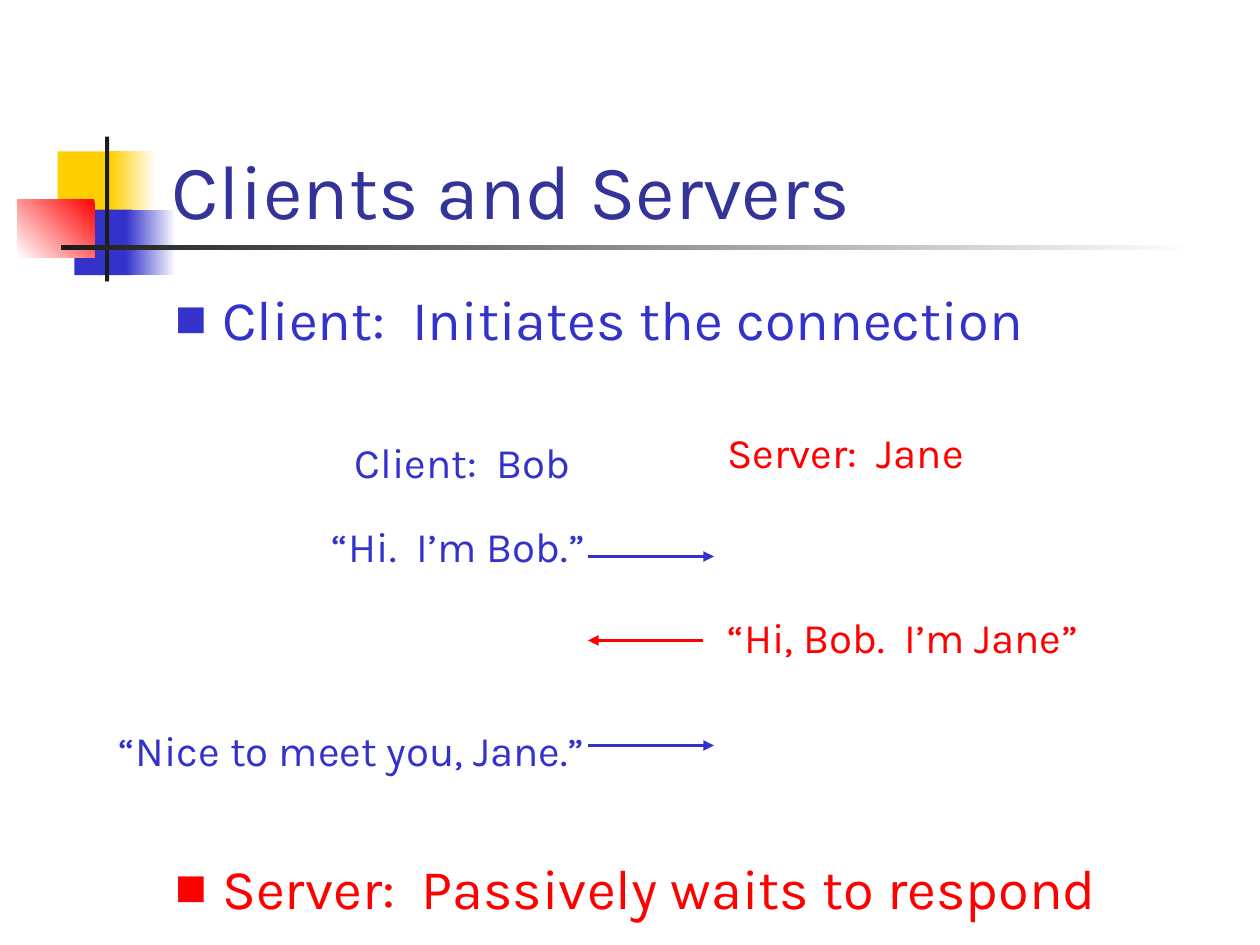
from lxml import etree
from pptx import Presentation
from pptx.dml.color import RGBColor
from pptx.enum import shapes, text
from pptx.oxml import ns
from pptx.util import Pt

COLOURS = {
    "title": "333399",
    "client": "3333CC",
    "server": "FF0000",
    "yellow": "FFCF01",
    "dark": "1C1C1C",
    "white": "FFFFFF",
}


def rgb(name):
    return RGBColor.from_string(COLOURS[name])


class ConnectionSlide:
    font = "Karla"

    def __init__(self, deck):
        self.slide = deck.slides.add_slide(deck.slide_layouts[6])

    def block(self, box, colour, fade_to=None, angle=180):
        block = self.slide.shapes.add_shape(
            shapes.MSO_SHAPE.RECTANGLE, *map(Pt, box))
        block.shadow.inherit = False
        block.line.fill.background()
        if fade_to is None:
            block.fill.solid()
            block.fill.fore_color.rgb = rgb(colour)
            return
        block.fill.gradient()
        block.fill.gradient_angle = angle
        for stop, name in zip(block.fill.gradient_stops, (colour, fade_to)):
            stop.color.rgb = rgb(name)

    def words(self, box, lines, size, align="LEFT", anchor="TOP",
              wrap=False, before=0, gap=0):
        frame = self.slide.shapes.add_textbox(*map(Pt, box)).text_frame
        frame.word_wrap = wrap
        frame.vertical_anchor = getattr(text.MSO_ANCHOR, anchor)
        frame.text = "\n".join(line for line, _ in lines)
        for index, paragraph in enumerate(frame.paragraphs):
            paragraph.alignment = getattr(text.PP_ALIGN, align)
            paragraph.space_before = Pt(gap if index else before)
            font = paragraph.runs[0].font
            font.name, font.size = self.font, Pt(size)
            font.color.rgb = rgb(lines[index][1])
        return frame

    def bullets(self, box, lines, size, before, gap):
        frame = self.words(box, lines, size, wrap=True, before=before, gap=gap)
        for paragraph, (_, colour) in zip(frame.paragraphs, lines):
            props = paragraph._p.get_or_add_pPr()
            props.set("marL", str(Pt(27)))
            props.set("indent", str(Pt(-27)))
            tint = etree.SubElement(props, ns.qn("a:buClr"))
            etree.SubElement(tint, ns.qn("a:srgbClr"), val=COLOURS[colour])
            etree.SubElement(props, ns.qn("a:buSzPct"), val="60000")
            etree.SubElement(props, ns.qn("a:buFont"), typeface=self.font)
            etree.SubElement(props, ns.qn("a:buChar"), char="■")

    def arrow(self, start, end, y, colour):
        arrow = self.slide.shapes.add_connector(
            shapes.MSO_CONNECTOR.STRAIGHT, Pt(start), Pt(y), Pt(end), Pt(y))
        arrow.line.width = Pt(2)
        arrow.line.color.rgb = rgb(colour)
        etree.SubElement(arrow.line._get_or_add_ln(), ns.qn("a:tailEnd"),
                         type="triangle")
        etree.SubElement(arrow._element.spPr, ns.qn("a:effectLst"))


def main():
    deck = Presentation()
    deck.slide_width, deck.slide_height = Pt(720), Pt(540)
    page = ConnectionSlide(deck)

    page.block((33, 86.5, 34.5, 37.5), "yellow")
    page.block((63, 86.5, 26, 37.5), "white", "yellow")
    page.block((42.5, 119.8, 33, 37.5), "client")
    page.block((72, 119.8, 28.5, 37.5), "white", "client")
    page.block((9.8, 113.8, 44.2, 33.2), "server", "white", angle=225)
    page.block((60, 78, 2.4, 82.8), "dark")
    page.block((34.8, 140.2, 648, 2.4), "white", "dark")

    page.bullets((93, 159, 612, 381),
                 [("Client:  Initiates the connection", "client"),
                  ("Server:  Passively waits to respond", "server")],
                 32, before=8, gap=287)
    page.words((91, 48, 613.5, 90), [("Clients and Servers", "title")], 44,
               anchor="BOTTOM", wrap=True)

    page.words((190.8, 246.2, 142.5, 36), [("Client:  Bob", "client")], 24,
               align="RIGHT")
    page.words((51, 294, 290.3, 151),
               [("“Hi.  I’m Bob.”", "client"),
                ("“Nice to meet you, Jane.”", "client")],
               24, align="RIGHT", gap=87.4)
    page.words((408.5, 240, 154, 36), [("Server:  Jane", "server")], 24)
    page.words((408.5, 346, 221, 36), [("“Hi, Bob.  I’m Jane”", "server")], 24)

    page.arrow(336, 408, 318, "client")
    page.arrow(402, 336, 366, "server")
    page.arrow(336, 408, 426, "client")

    deck.save("out.pptx")


if __name__ == "__main__":
    main()
